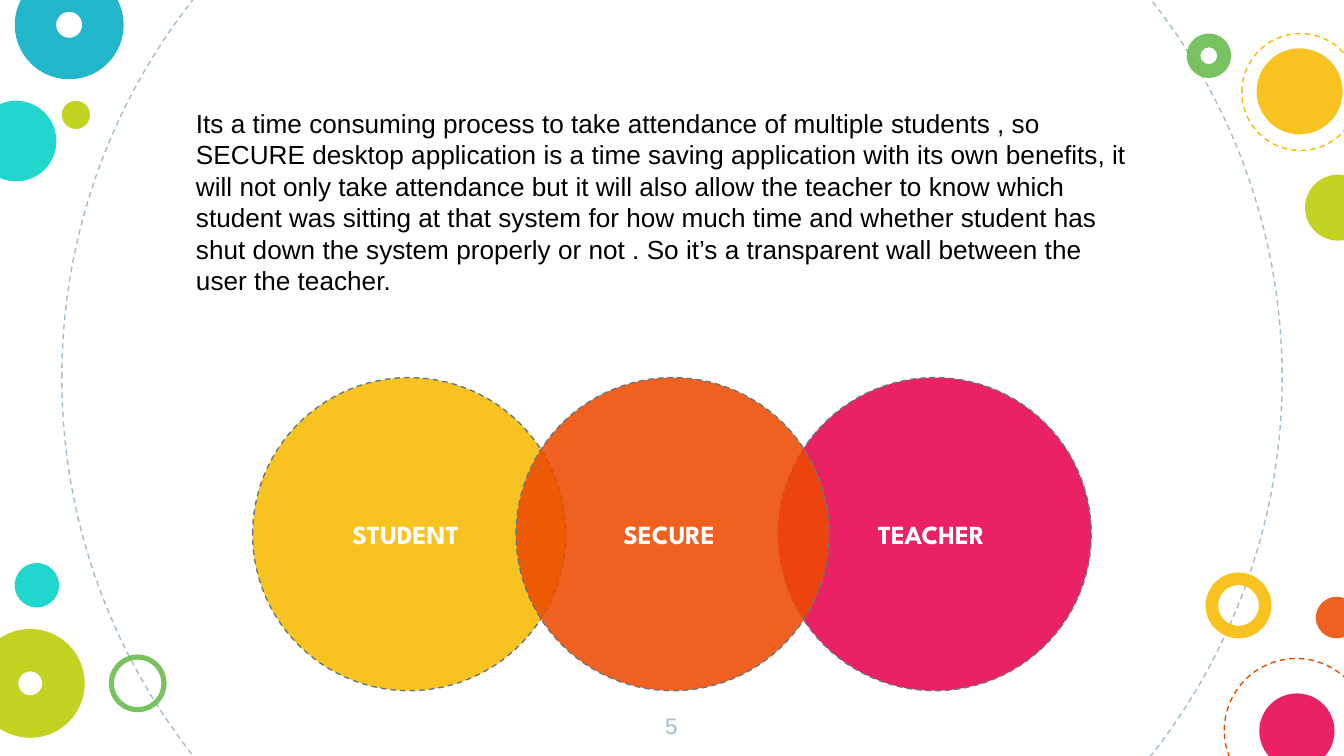
from lxml.etree import SubElement
from pptx import Presentation
from pptx.dml.color import RGBColor
from pptx.enum.dml import MSO_LINE
from pptx.enum.shapes import MSO_SHAPE
from pptx.enum.text import MSO_ANCHOR, PP_ALIGN
from pptx.oxml.ns import qn
from pptx.util import Inches, Pt

AQUA, TEAL, LIME, GREEN = "00D1C6", "00ACC3", "BBCD00", "65BB48"
GOLD, ORANGE, PINK = "F8BB00", "ED4A00", "E8004C"
MIST, SLATE = "A1BECC", "617A86"

deck = Presentation()
deck.slide_width = Inches(10)
deck.slide_height = Inches(10) * 9 // 16
slide = deck.slides.add_slide(deck.slide_layouts[6])


def color(text):
    return RGBColor.from_string(text)


def disc(x, y, size, fill=None, line=None, hole=None):
    """Add a circle, or a donut if hole gives its ring width; fills are 87% opaque."""
    kind = MSO_SHAPE.DONUT if hole else MSO_SHAPE.OVAL
    shape = slide.shapes.add_shape(kind, Inches(x), Inches(y), Inches(size), Inches(size))
    shape.shadow.inherit = False
    if hole:
        shape.adjustments[0] = hole
    if fill:
        shape.fill.solid()
        shape.fill.fore_color.rgb = color(fill)
        tint = shape.fill._xPr.find(qn("a:solidFill"))[0]
        SubElement(tint, qn("a:alpha"), val="87000")
    else:
        shape.fill.background()
    if line:
        shape.line.color.rgb = color(line)
        shape.line.width = Pt(0.75)
        shape.line.dash_style = MSO_LINE.DASH
    else:
        shape.line.fill.background()
    return shape


# Dashed rings
for x, y, size, line in [
    (0.46, -1.73, 9.08, MIST),
    (9.11, 4.9, 1.07, ORANGE),
    (9.24, 0.25, 0.87, GOLD),
]:
    disc(x, y, size, line=line)

# Dots and donuts along the edges
for x, y, size, fill, hole in [
    (-0.18, 0.75, 0.6, AQUA, None),
    (8.97, 4.26, 0.49, GOLD, 0.19),
    (0.11, -0.22, 0.81, TEAL, 0.38),
    (0.46, 0.75, 0.21, LIME, None),
    (0.81, 4.87, 0.43, GREEN, 0.09),
    (9.79, 4.44, 0.31, ORANGE, None),
    (-0.18, 4.68, 0.81, LIME, 0.39),
    (9.37, 5.16, 0.56, PINK, None),
    (8.83, 0.25, 0.33, GREEN, 0.31),
    (9.35, 0.36, 0.64, GOLD, None),
    (9.71, 1.3, 0.49, LIME, None),
    (0.11, 4.19, 0.33, AQUA, None),
]:
    disc(x, y, size, fill, hole=hole)

# Page number
page = slide.shapes.add_textbox(Inches(4.74), Inches(5.2), Inches(0.51), Inches(0.43))
frame = page.text_frame
frame.word_wrap = True
frame.margin_top = frame.margin_bottom = Inches(0.1)
para = frame.paragraphs[0]
para.text = "5"
para.alignment = PP_ALIGN.CENTER
para.font.size, para.font.name = Pt(12), "Arial"
para.font.color.rgb = color(MIST)

# Body text
body = slide.shapes.add_textbox(Inches(1.36), Inches(0.75), Inches(7.22), Inches(1.51))
body.text_frame.word_wrap = True
para = body.text_frame.paragraphs[0]
para.text = (
    "Its a time consuming process to take attendance of multiple students , so "
    "SECURE desktop application is a time saving application with its own benefits, it "
    "will not only take attendance but it will also allow the teacher to know which "
    "student was sitting at that system for how much time and whether student has "
    "shut down the system properly or not . So it’s a transparent wall between the "
    "user the teacher."
)
para.font.size, para.font.name = Pt(14), "Arial"
para.font.color.rgb = color("000000")

# Overlapping circles, the middle one in front
for x, label, fill in [
    (1.88, "STUDENT ", GOLD),
    (5.79, "TEACHER ", PINK),
    (3.84, "SECURE ", ORANGE),
]:
    shape = disc(x, 2.81, 2.33, fill, SLATE)
    frame = shape.text_frame
    frame.vertical_anchor = MSO_ANCHOR.MIDDLE
    frame.margin_top = frame.margin_bottom = Inches(0.1)
    para = frame.paragraphs[0]
    para.text = label
    para.alignment = PP_ALIGN.CENTER
    para.font.size, para.font.name, para.font.bold = Pt(14), "League Spartan", True
    para.font.color.rgb = color("FFFFFF")

deck.save("out.pptx")
